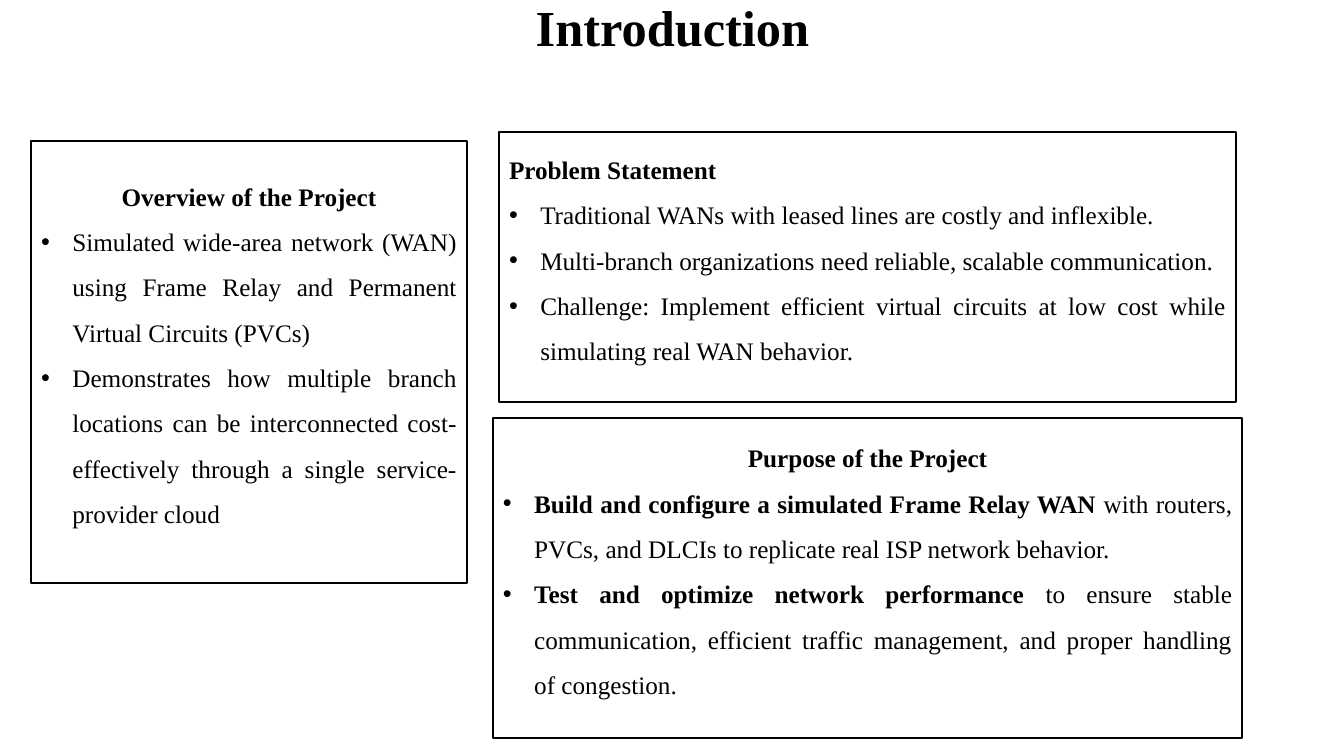
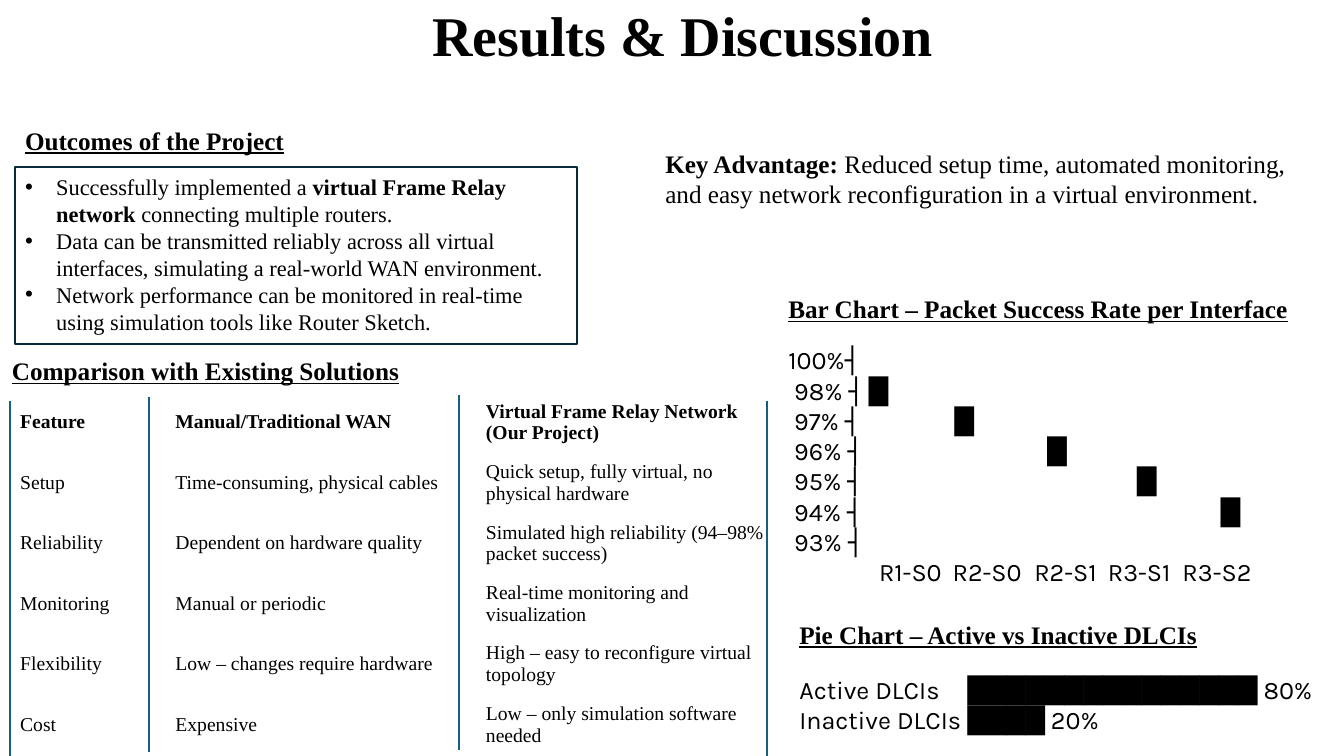
"""Build two slides on a simulated Frame Relay network."""
from lxml import etree
from pptx import Presentation
from pptx.dml.color import RGBColor
from pptx.enum.shapes import MSO_CONNECTOR, MSO_SHAPE
from pptx.enum.text import MSO_ANCHOR, PP_ALIGN
from pptx.oxml.ns import qn
from pptx.util import Inches, Pt

RECT = MSO_SHAPE.RECTANGLE
STRAIGHT = MSO_CONNECTOR.STRAIGHT
TOP, MIDDLE = MSO_ANCHOR.TOP, MSO_ANCHOR.MIDDLE
LEFT, CENTER, JUSTIFY = PP_ALIGN.LEFT, PP_ALIGN.CENTER, PP_ALIGN.JUSTIFY

COLORS = {"text": "000000", "paper": "FFFFFF", "frame": "092A39", "rule": "156082"}
SERIF, SANS = "Times New Roman", "Karla"
HANG = 0.31

PANELS = [
    ((0.31, 1.4, 4.32, 4.38), CENTER, "Overview of the Project", [
        "Simulated wide-area network (WAN) using Frame Relay and Permanent "
        "Virtual Circuits (PVCs)",
        "Demonstrates how multiple branch locations can be interconnected "
        "cost-effectively through a single service-provider cloud",
    ]),
    ((4.89, 4.15, 7.43, 3.17), CENTER, "Purpose of the Project", [
        "*Build and configure a simulated Frame Relay WAN* with routers, PVCs, "
        "and DLCIs to replicate real ISP network behavior.",
        "*Test and optimize network performance* to ensure stable communication, "
        "efficient traffic management, and proper handling of congestion.",
    ]),
    ((4.95, 1.31, 7.31, 2.68), JUSTIFY, "Problem Statement", [
        "Traditional WANs with leased lines are costly and inflexible.",
        "Multi-branch organizations need reliable, scalable communication.",
        "Challenge: Implement efficient virtual circuits at low cost while "
        "simulating real WAN behavior.",
    ]),
]

OUTCOMES = [
    "Successfully implemented a *virtual Frame Relay network* connecting "
    "multiple routers.",
    "Data can be transmitted reliably across all virtual interfaces, "
    "simulating a real-world WAN environment.",
    "Network performance can be monitored in real-time using simulation tools "
    "like Router Sketch.",
]
HEADS = [
    ("Outcomes of the Project", 0.15, 1.19),
    ("Comparison with Existing Solutions", 0.02, 3.48),
    ("Bar Chart – Packet Success Rate per Interface", 7.72, 2.86),
    ("Pie Chart – Active vs Inactive DLCIs", 7.83, 6.09),
]
KEY = ("*Key Advantage:* Reduced setup time, automated monitoring, and easy "
       "network reconfiguration in a virtual environment.")

RATES = [
    ("100%┤", None), (" 98% ┤", 0.8), (" 97% ┤", 1.65), (" 96% ┤", 2.57),
    (" 95% ┤", 3.46), (" 94% ┤", 4.29), (" 93% ┤", None),
]
PORTS = [("R1-S0", 0.9), ("R2-S0", 1.63), ("R2-S1", 2.44),
         ("R3-S1", 3.17), ("R3-S2", 3.91)]
SHARES = [("Active DLCIs", 15, "80%"), ("Inactive DLCIs", 4, "20%")]
SHARE_TAB = 1.67

COLS = [1.54, 3.08, 3.03]
ROW = 0.6
TABLE = [
    ("Feature", "Manual/Traditional WAN", "Virtual Frame Relay Network (Our Project)"),
    ("Setup", "Time-consuming, physical cables",
     "Quick setup, fully virtual, no physical hardware"),
    ("Reliability", "Dependent on hardware quality",
     "Simulated high reliability (94–98% packet success)"),
    ("Monitoring", "Manual or periodic", "Real-time monitoring and visualization"),
    ("Flexibility", "Low – changes require hardware",
     "High – easy to reconfigure virtual topology"),
    ("Cost", "Expensive", "Low – only simulation software needed"),
]
RULES = [(0.1, 3.98), (1.48, 3.94), (4.55, 3.92), (7.61, 3.98)]
RULE_LEN = 3.52


def rgb(name):
    return RGBColor.from_string(COLORS[name])


def write(para, text, size=18, font=SERIF, under=False, align=LEFT, gap=1.0):
    """Fill a paragraph, with the parts between asterisks in bold."""
    para.alignment, para.line_spacing = align, gap
    for i, part in enumerate(text.split("*")):
        if part:
            run = para.add_run()
            run.text = part
            run.font.size, run.font.name = Pt(size), font
            run.font.bold, run.font.underline = i % 2 == 1, under
            run.font.color.rgb = rgb("text")


def next_para(frame):
    first = frame.paragraphs[0]
    return first if not first.runs else frame.add_paragraph()


def bullet(para):
    props = para._p.get_or_add_pPr()
    props.set("marL", str(Inches(HANG)))
    props.set("indent", str(-Inches(HANG)))
    etree.SubElement(props, qn("a:buFont")).set("typeface", "Arial")
    etree.SubElement(props, qn("a:buChar")).set("char", "•")


def set_tabs(para, stops):
    tabs = etree.SubElement(para._p.get_or_add_pPr(), qn("a:tabLst"))
    for stop in stops:
        tab = etree.SubElement(tabs, qn("a:tab"))
        tab.set("pos", str(Inches(stop)))
        tab.set("algn", "l")


def add_text(slide, box, anchor=TOP):
    frame = slide.shapes.add_textbox(*map(Inches, box)).text_frame
    frame.word_wrap, frame.vertical_anchor = True, anchor
    return frame


def add_title(slide, text, left, high, size):
    frame = add_text(slide, (left, 0, 11.5, high), MIDDLE)
    write(frame.paragraphs[0], f"*{text}*", size, align=CENTER, gap=0.9)


def add_panel(slide, box, edge="text", foot=0.05):
    shape = slide.shapes.add_shape(RECT, *map(Inches, box))
    shape.shadow.inherit = False
    shape.fill.solid()
    shape.fill.fore_color.rgb = rgb("paper")
    shape.line.color.rgb, shape.line.width = rgb(edge), Pt(1.5)
    frame = shape.text_frame
    frame.word_wrap, frame.vertical_anchor = True, MIDDLE
    frame.margin_bottom = Inches(foot)
    return frame


def add_table(slide):
    table = slide.shapes.add_table(
        len(TABLE), len(COLS), Inches(0.1), Inches(3.89),
        Inches(sum(COLS)), Inches(ROW * len(TABLE))).table
    table.first_row = table.horz_banding = False
    for col, wide in zip(table.columns, COLS):
        col.width = Inches(wide)
    for r, row in enumerate(TABLE):
        for c, text in enumerate(row):
            cell = table.cell(r, c)
            cell.fill.background()
            cell.vertical_anchor = MIDDLE
            write(cell.text_frame.paragraphs[0], text if r else f"*{text}*", 14)


def add_rules(slide):
    for x, y in RULES:
        rule = slide.shapes.add_connector(
            STRAIGHT, *map(Inches, (x, y, x, y + RULE_LEN)))
        rule.line.color.rgb, rule.line.width = rgb("rule"), Pt(1.5)
        etree.SubElement(rule._element.spPr, qn("a:effectLst"))


def add_plots(slide):
    frame = add_text(slide, (7.72, 3.37, 5.6, 2.52))
    for label, stop in RATES:
        para = next_para(frame)
        write(para, f"{label}\t█" if stop else label, font=SANS)
        if stop:
            set_tabs(para, [stop])
    para = next_para(frame)
    write(para, "".join(f"\t{port}" for port, _ in PORTS), font=SANS)
    set_tabs(para, [stop for _, stop in PORTS])

    frame = add_text(slide, (7.83, 6.64, 5.5, 0.71))
    for label, count, share in SHARES:
        para = next_para(frame)
        write(para, f"{label}\t{'█' * count} {share}", font=SANS)
        set_tabs(para, [SHARE_TAB])


def build_intro(slide):
    add_title(slide, "Introduction", 0.92, 0.6, 36)
    for box, align, head, points in PANELS:
        frame = add_panel(slide, box, foot=0.34)
        write(frame.paragraphs[0], f"*{head}*", align=align, gap=1.5)
        for point in points:
            para = next_para(frame)
            write(para, point, align=JUSTIFY, gap=1.5)
            bullet(para)


def build_results(slide):
    add_title(slide, "Results & Discussion", 1.02, 0.76, 40)
    frame = add_panel(slide, (0.15, 1.66, 5.57, 1.75), "frame", 0.08)
    for point in OUTCOMES:
        para = next_para(frame)
        write(para, point, 16)
        bullet(para)
    for head, x, y in HEADS:
        frame = add_text(slide, (x, y, 5.5, 0.4))
        write(frame.paragraphs[0], f"*{head}*", under=True)
    write(add_text(slide, (6.5, 1.42, 6.46, 0.71)).paragraphs[0], KEY)
    add_table(slide)
    add_rules(slide)
    add_plots(slide)


def main():
    deck = Presentation()
    deck.slide_width, deck.slide_height = Inches(13.33), Inches(7.5)
    for build in (build_intro, build_results):
        build(deck.slides.add_slide(deck.slide_layouts[6]))
    deck.save("out.pptx")


if __name__ == "__main__":
    main()
